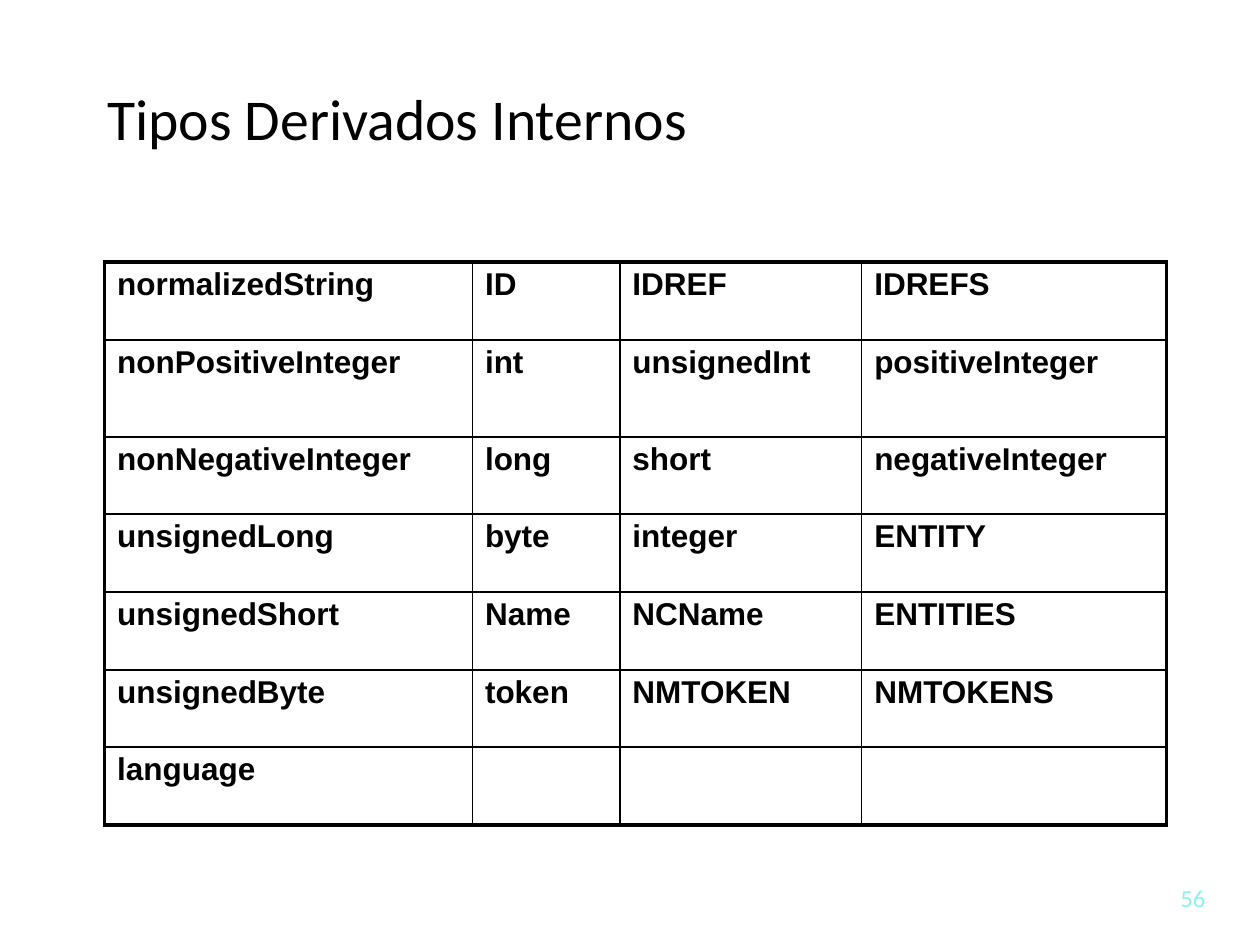
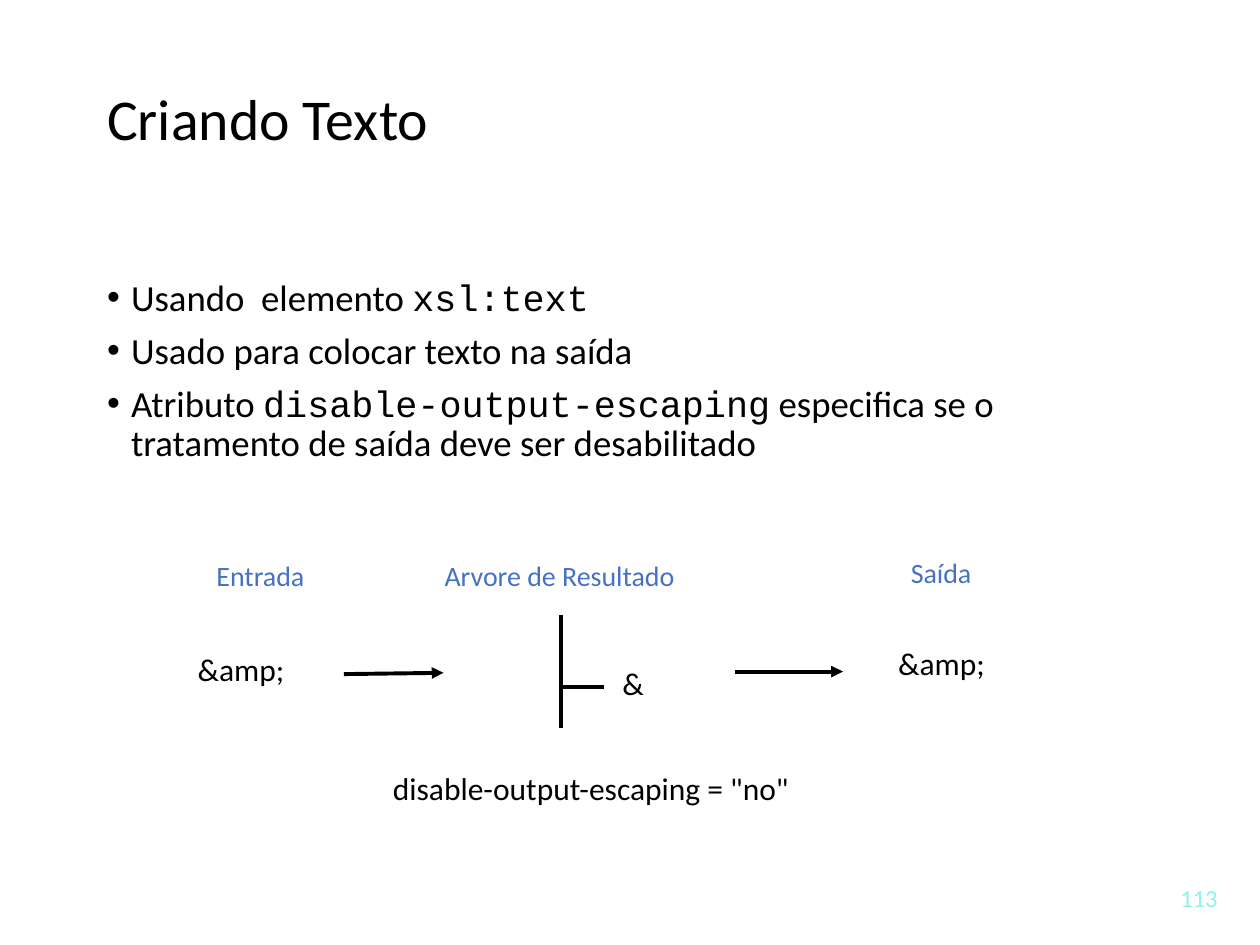
import pptx
import pptx.util
import pptx.dml.color
import pptx.enum.shapes
import pptx.enum.text
import pptx.oxml.ns
from lxml import etree

Inches, Pt = pptx.util.Inches, pptx.util.Pt
COLORS = {"text": "000000", "label": "4472C4", "number": "8CF4EA"}
BODY_FONT, TABLE_FONT, CODE_FONT = "Calibri", "Arial", "Courier New"
TITLE_BOX = (0.75, 0.67, 8.5, 1.25)
NUMBER_BOX = (9.27, 6.96, 0.6, 0.33)

TYPES = [
    ("normalizedString", "ID", "IDREF", "IDREFS"),
    ("nonPositiveInteger", "int", "unsignedInt", "positiveInteger"),
    ("nonNegativeInteger", "long", "short", "negativeInteger"),
    ("unsignedLong", "byte", "integer", "ENTITY"),
    ("unsignedShort", "Name", "NCName", "ENTITIES"),
    ("unsignedByte", "token", "NMTOKEN", "NMTOKENS"),
    ("language", "", "", ""),
]
# Each bullet is a list of (text, font) pieces
BULLETS = [
    [("Usando  elemento ", BODY_FONT), ("xsl:text", CODE_FONT)],
    [("Usado para colocar texto na saída", BODY_FONT)],
    [("Atributo ", BODY_FONT), ("disable-output-escaping", CODE_FONT),
     (" especifica se o tratamento de saída deve ser desabilitado", BODY_FONT)],
]


def sub(parent, tag, **attrs):
    return etree.SubElement(parent, pptx.oxml.ns.qn(tag), attrs)


def add_text(p, text, size=18, font=BODY_FONT, color="text", bold=False, spacing=None):
    """Append a formatted run to a paragraph."""
    p.alignment = pptx.enum.text.PP_ALIGN.LEFT
    if spacing:
        p.line_spacing = spacing
    r = p.add_run()
    r.text = text
    r.font.size, r.font.name, r.font.bold = Pt(size), font, bold
    r.font.color.rgb = pptx.dml.color.RGBColor.from_string(COLORS[color])


def add_label(slide, box, text, **fmt):
    tf = slide.shapes.add_textbox(*map(Inches, box)).text_frame
    tf.word_wrap = True
    add_text(tf.paragraphs[0], text, **fmt)


def place(sp, box):
    """Move a placeholder and return its top-anchored text frame."""
    sp.left, sp.top, sp.width, sp.height = map(Inches, box)
    tf = sp.text_frame
    tf.vertical_anchor = pptx.enum.text.MSO_ANCHOR.TOP
    tf.auto_size = pptx.enum.text.MSO_AUTO_SIZE.NONE
    return tf


def add_slide(prs, layout, title, number):
    slide = prs.slides.add_slide(prs.slide_layouts[layout])
    tf = place(slide.shapes.title, TITLE_BOX)
    add_text(tf.paragraphs[0], title, size=33, spacing=0.9)
    add_label(slide, NUMBER_BOX, number, size=14, color="number")
    return slide


def add_borders(cell, **widths):
    """Draw the cell's sides, given as L, R, T and B widths in points."""
    tc_pr = cell._tc.get_or_add_tcPr()
    for side, width in widths.items():
        ln = sub(tc_pr, f"a:ln{side}", w=str(Pt(width)))
        sub(sub(ln, "a:solidFill"), "a:srgbClr", val=COLORS["text"])


def add_type_table(slide, box, widths, heights):
    rows, cols = len(heights), len(widths)
    table = slide.shapes.add_table(rows, cols, *map(Inches, box)).table
    table.first_row = table.horz_banding = False
    for col, width in zip(table.columns, widths):
        col.width = Inches(width)
    for row, height in zip(table.rows, heights):
        row.height = Inches(height)
    # Thick outer frame, thin inner grid
    outer, inner = 2.25, 1
    for i, names in enumerate(TYPES):
        for j, name in enumerate(names):
            cell = table.cell(i, j)
            add_borders(cell,
                        L=outer if j == 0 else inner,
                        R=outer if j == cols - 1 else inner,
                        T=outer if i == 0 else inner,
                        B=outer if i == rows - 1 else inner)
            cell.fill.background()
            if name:
                add_text(cell.text_frame.paragraphs[0], name,
                         font=TABLE_FONT, bold=True, spacing=0.95)


def add_bullets(slide, box):
    tf = place(slide.placeholders[1], box)
    for i, pieces in enumerate(BULLETS):
        p = tf.add_paragraph() if i else tf.paragraphs[0]
        p_pr = p._p.get_or_add_pPr()
        p_pr.set("marL", str(Inches(0.19)))
        p_pr.set("indent", str(-Inches(0.19)))
        sub(p_pr, "a:buFont", typeface="Arial")
        sub(p_pr, "a:buChar", char="•")
        p.space_before = Pt(7.5 if i else 0)
        for text, font in pieces:
            add_text(p, text, size=21, font=font, spacing=0.9)


def add_line(slide, x1, y1, x2, y2, arrow=False):
    line = slide.shapes.add_connector(pptx.enum.shapes.MSO_CONNECTOR.STRAIGHT,
                                      *map(Inches, (x1, y1, x2, y2)))
    line.line.width = Pt(2.25)
    line.line.color.rgb = pptx.dml.color.RGBColor.from_string(COLORS["text"])
    if arrow:
        sub(line.line._get_or_add_ln(), "a:tailEnd", type="triangle")
    sub(line._element.spPr, "a:effectLst")


def add_escaping_flow(slide, left, top):
    # Stage headings
    for x, y, width, text in [(0.22, 0.08, 1.03, "Entrada"),
                              (2.03, 0.08, 2.48, "Arvore de Resultado"),
                              (5.73, 0.06, 0.79, "Saída")]:
        add_label(slide, (left + x, top + y, width, 0.35), text, size=16, color="label")
    # Stage contents and caption
    for x, y, width, text in [(0.07, 0.81, 1.34, "&amp;"),
                              (3.44, 0.92, 0.42, "&"),
                              (5.63, 0.76, 1.34, "&amp;"),
                              (1.62, 1.75, 3.92, 'disable-output-escaping = "no"')]:
        add_label(slide, (left + x, top + y, width, 0.45), text)
    # Result tree, then arrows between the stages
    for x1, y1, x2, y2, arrow in [(3.05, 0.58, 3.05, 1.48, False),
                                  (3.07, 1.15, 3.39, 1.15, False),
                                  (1.33, 1.05, 2.12, 1.04, True),
                                  (4.43, 1.03, 5.29, 1.03, True)]:
        add_line(slide, left + x1, top + y1, left + x2, top + y2, arrow)


def main():
    prs = pptx.Presentation()
    prs.slide_width, prs.slide_height = Inches(10), Inches(7.5)

    slide = add_slide(prs, 5, "Tipos Derivados Internos", "56")
    add_type_table(slide, (0.83, 2.08, 8.42, 4.46), [2.92, 1.17, 1.92, 2.42],
                   [0.62, 0.77, 0.61, 0.62, 0.62, 0.61, 0.62])

    slide = add_slide(prs, 1, "Criando Texto", "113")
    add_bullets(slide, (0.75, 2.17, 8.5, 1.87))
    add_escaping_flow(slide, 1.4, 4.3)

    prs.save("out.pptx")


if __name__ == "__main__":
    main()
